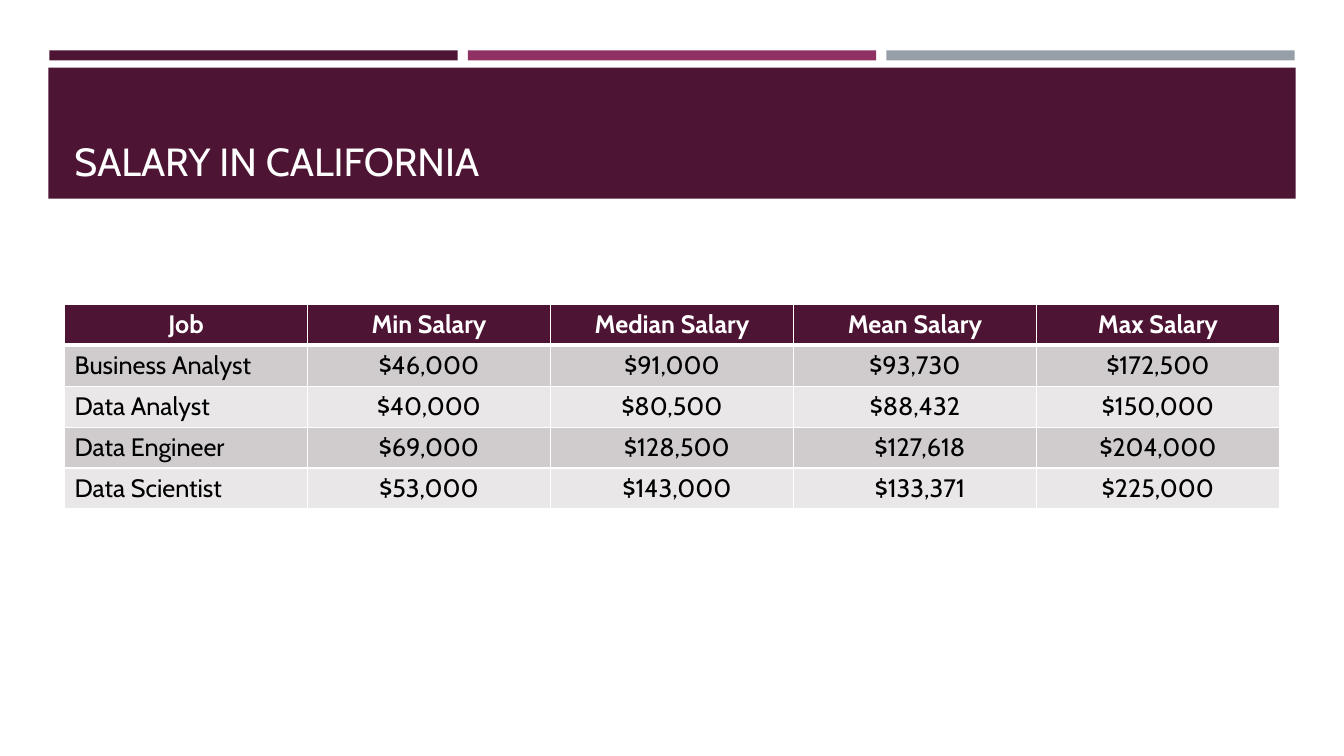
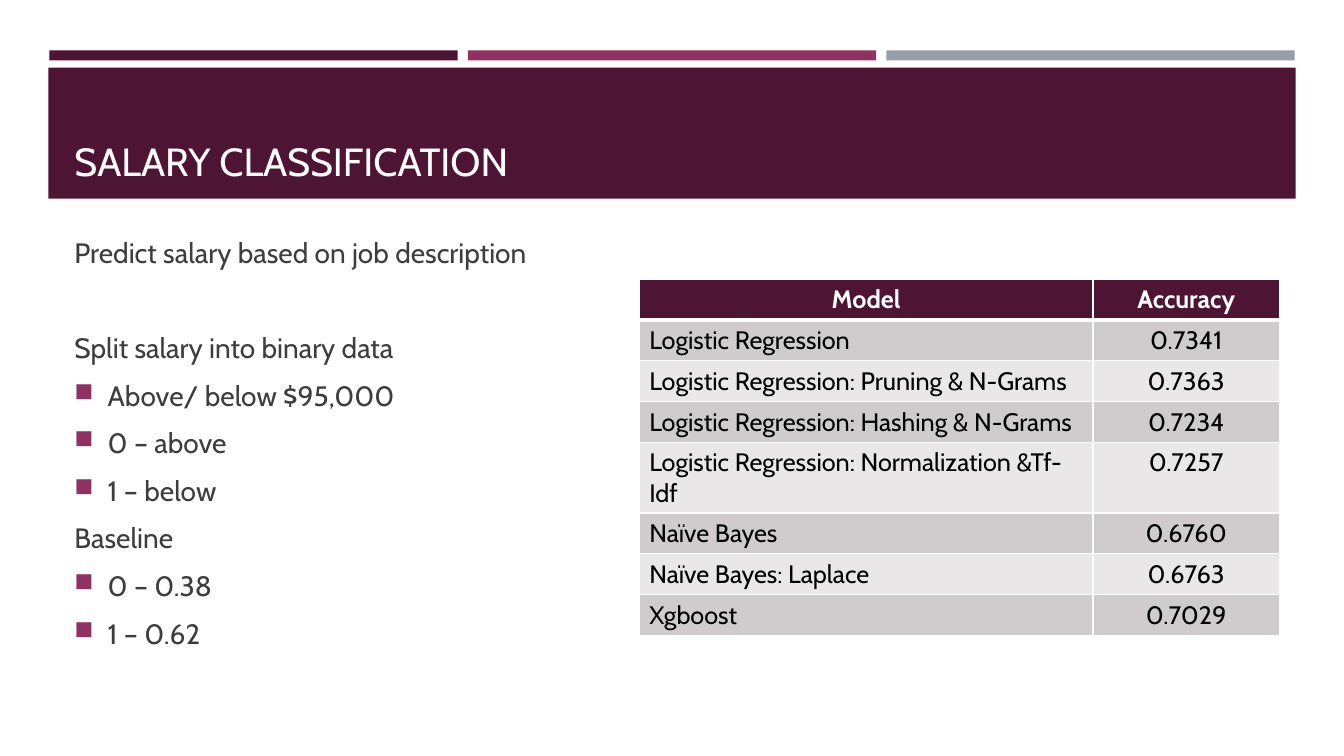
from lxml.etree import SubElement
from pptx import Presentation
from pptx.dml.color import RGBColor
from pptx.enum.shapes import MSO_SHAPE as Shape
from pptx.enum.text import MSO_ANCHOR as Anchor, PP_ALIGN as Align
from pptx.oxml.ns import qn
from pptx.util import Inches, Pt

COLORS = {
    "plum": "4D1434",
    "berry": "903163",
    "steel": "969FA7",
    "white": "FFFFFF",
    "black": "000000",
    "text": "3D3D3D",
    "dark_row": "D0CCCE",
    "light_row": "E9E7E8",
}
FONTS = {
    "title": {"name": "Cabin", "size": Pt(28), "bold": False},
    "body": {"name": "Cabin", "size": Pt(20), "bold": False},
    "header": {"name": "Cabin", "size": Pt(18), "bold": True},
    "cell": {"name": "Cabin", "size": Pt(18), "bold": False},
}
LINE_SPACE = {"space_before": Pt(4), "space_after": Pt(6)}
SECTION_SPACE = {"space_before": Pt(38), "space_after": Pt(6)}

SALARIES = [
    ["Job", "Min Salary", "Median Salary", "Mean Salary", "Max Salary"],
    ["Business Analyst", "$46,000", "$91,000", "$93,730", "$172,500"],
    ["Data Analyst", "$40,000", "$80,500", "$88,432", "$150,000"],
    ["Data Engineer", "$69,000", "$128,500", "$127,618", "$204,000"],
    ["Data Scientist", "$53,000", "$143,000", "$133,371", "$225,000"],
]
INDENTED_SALARIES = {(row, column) for row in (3, 4) for column in (2, 3)}

ACCURACIES = [
    ["Model", "Accuracy"],
    ["Logistic Regression", "0.7341"],
    ["Logistic Regression: Pruning & N-Grams", "0.7363"],
    ["Logistic Regression: Hashing & N-Grams", "0.7234"],
    ["Logistic Regression: Normalization &Tf-Idf", "0.7257"],
    ["Naïve Bayes", "0.6760"],
    ["Naïve Bayes: Laplace", "0.6763"],
    ["Xgboost", "0.7029"],
]

# Each line: text, has a bullet, paragraph spacing
CLASSIFICATION_LINES = [
    ("Predict salary based on job description", False, LINE_SPACE),
    ("Split salary into binary data", False, SECTION_SPACE),
    ("Above/ below $95,000", True, LINE_SPACE),
    ("0 – above", True, LINE_SPACE),
    ("1 – below", True, LINE_SPACE),
    ("Baseline", False, LINE_SPACE),
    ("0 – 0.38", True, LINE_SPACE),
    ("1 – 0.62", True, LINE_SPACE),
]


def rgb(color):
    return RGBColor.from_string(COLORS[color])


def set_attributes(target, values):
    for name, value in values.items():
        setattr(target, name, value)


def write(paragraph, text, font, color):
    run = paragraph.add_run()
    run.text = text
    set_attributes(run.font, FONTS[font])
    run.font.color.rgb = rgb(color)


def add_band(slide, left, top, width, height, color):
    shape = slide.shapes.add_shape(
        Shape.RECTANGLE, Inches(left), Inches(top), Inches(width), Inches(height))
    shape.shadow.inherit = False
    shape.fill.solid()
    shape.fill.fore_color.rgb = rgb(color)
    shape.line.fill.background()


def add_text_frame(slide, left, top, width, height, anchor):
    box = slide.shapes.add_textbox(
        Inches(left), Inches(top), Inches(width), Inches(height))
    set_attributes(box.text_frame, {"word_wrap": True, "vertical_anchor": anchor})
    return box.text_frame


def add_titled_slide(presentation, title):
    """Add a slide with the shared accent bands and title banner."""
    slide = presentation.slides.add_slide(presentation.slide_layouts[6])
    for index, color in enumerate(("plum", "berry", "steel")):
        add_band(slide, 0.49 + index * 4.15, 0.5, 4.05, 0.1, color)
    add_band(slide, 0.48, 0.67, 12.37, 1.3, "plum")
    frame = add_text_frame(slide, 0.64, 0.77, 12.06, 1.11, Anchor.BOTTOM)
    write(frame.paragraphs[0], title, "title", "white")
    return slide


def add_bullet(paragraph):
    properties = paragraph._p.get_or_add_pPr()
    properties.set("marL", str(Inches(0.33)))
    properties.set("indent", str(-Inches(0.33)))
    color = SubElement(properties, qn("a:buClr"))
    SubElement(color, qn("a:srgbClr"), val=COLORS["berry"])
    SubElement(properties, qn("a:buSzPct"), val="92000")
    SubElement(properties, qn("a:buChar"), char="■")


def add_body(slide, lines):
    frame = add_text_frame(slide, 0.64, 2.38, 12.06, 4.02, Anchor.MIDDLE)
    for index, (text, bulleted, spacing) in enumerate(lines):
        paragraph = frame.add_paragraph() if index else frame.paragraphs[0]
        set_attributes(paragraph, spacing)
        if bulleted:
            add_bullet(paragraph)
        write(paragraph, text, "body", "text")


def set_borders(cell, row):
    """Draw thin white borders, with a thick one under the header row."""
    widths = {"L": 1, "R": 1, "T": 3 if row == 1 else 1, "B": 3 if row == 0 else 1}
    properties = cell._tc.get_or_add_tcPr()
    for side, width in widths.items():
        line = SubElement(properties, qn(f"a:ln{side}"), w=str(Pt(width)))
        fill = SubElement(line, qn("a:solidFill"))
        SubElement(fill, qn("a:srgbClr"), val=COLORS["white"])


def format_cell(cell, text, row, column):
    is_header = row == 0
    set_borders(cell, row)
    cell.fill.solid()
    band = "dark_row" if row % 2 else "light_row"
    cell.fill.fore_color.rgb = rgb("plum" if is_header else band)
    paragraph = cell.text_frame.paragraphs[0]
    paragraph.alignment = Align.CENTER if is_header or column else Align.LEFT
    if is_header:
        write(paragraph, text, "header", "white")
    else:
        write(paragraph, text, "cell", "black")


def add_data_table(slide, left, top, height, column_widths, rows, indented=()):
    table = slide.shapes.add_table(
        len(rows), len(column_widths), Inches(left), Inches(top),
        Inches(sum(column_widths)), Inches(height)).table
    for column, width in zip(table.columns, column_widths):
        column.width = Inches(width)
    for row, texts in enumerate(rows):
        for column, text in enumerate(texts):
            cell = table.cell(row, column)
            format_cell(cell, text, row, column)
            if (row, column) in indented:
                cell.margin_left = Inches(0.2)


def main():
    presentation = Presentation()
    presentation.slide_width = Inches(13.33)
    presentation.slide_height = Inches(7.5)

    slide = add_titled_slide(presentation, "SALARY IN CALIFORNIA")
    add_data_table(slide, 0.64, 3.02, 2.03, [2.41] * 5, SALARIES, INDENTED_SALARIES)

    slide = add_titled_slide(presentation, "SALARY CLASSIFICATION")
    add_body(slide, CLASSIFICATION_LINES)
    add_data_table(slide, 6.34, 2.77, 3.24, [4.5, 1.85], ACCURACIES)

    presentation.save("out.pptx")


if __name__ == "__main__":
    main()
